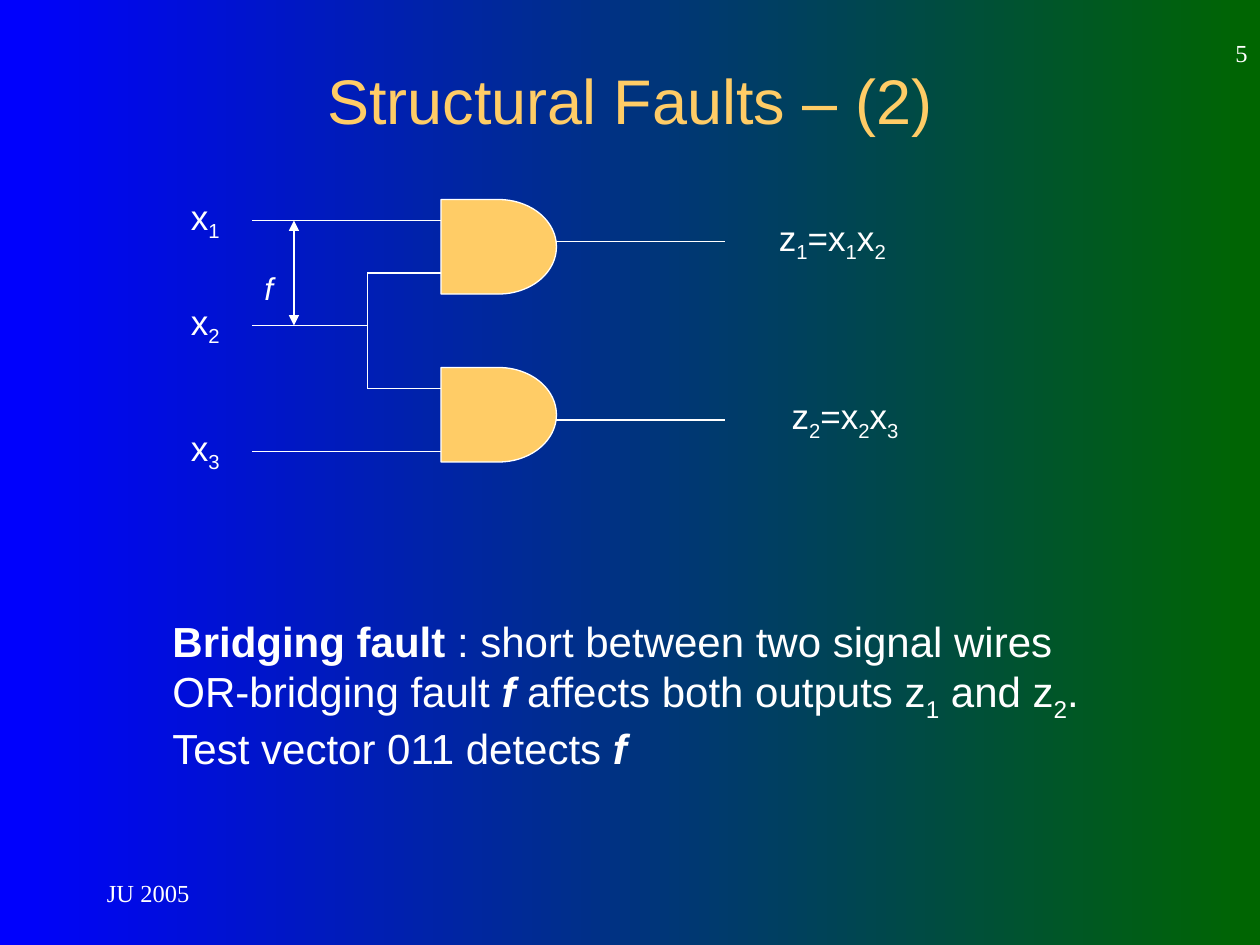
import dataclasses

import lxml.etree
import pptx
import pptx.dml.color
import pptx.enum.shapes
import pptx.enum.text
import pptx.oxml.ns
import pptx.util

ALIGN = pptx.enum.text.PP_ALIGN
ANCHOR = pptx.enum.text.MSO_ANCHOR


@dataclasses.dataclass(frozen=True)
class Theme:
    ink: str = "FFFFFF"
    accent: str = "FFCC66"
    gradient: tuple = ("006600", "0000FF")
    sans: str = "Arial"
    serif: str = "Times New Roman"
    title: int = 36
    body: int = 24
    signal: int = 20
    fault: int = 18
    footer: int = 14
    line: float = 0.75


def rgb(value):
    return pptx.dml.color.RGBColor.from_string(value)


class Canvas:
    """Draws on one slide, with lengths in cells of a twelfth of an inch."""

    cell = pptx.util.Inches(1) / 12

    def __init__(self, slide, theme):
        self.slide = slide
        self.theme = theme

    def cells(self, *counts):
        return [round(count * self.cell) for count in counts]

    def background(self):
        fill = self.slide.background.fill
        fill.gradient()
        fill.gradient_angle = 180
        for stop, color in zip(fill.gradient_stops, self.theme.gradient):
            stop.color.rgb = rgb(color)

    def text(self, place, paragraphs, size, font=None, color=None,
             align=ALIGN.LEFT, anchor=ANCHOR.TOP, wrap=True):
        """Each paragraph is a list of (words, style); a style is made of
        the letters b (bold), i (italic) and s (subscript)."""
        box = self.slide.shapes.add_textbox(*self.cells(*place))
        frame = box.text_frame
        frame.word_wrap = wrap
        frame.vertical_anchor = anchor
        for index, runs in enumerate(paragraphs):
            para = frame.add_paragraph() if index else frame.paragraphs[0]
            para.alignment = align
            for words, style in runs:
                span = para.add_run()
                span.text = words
                span.font.size = pptx.util.Pt(size)
                span.font.name = font or self.theme.sans
                span.font.color.rgb = rgb(color or self.theme.ink)
                span.font.bold = "b" in style
                span.font.italic = "i" in style
                if "s" in style:
                    span.font._element.set("baseline", "-25000")

    def signal(self, place, name, wrap=True):
        """Label in which every digit is a subscript."""
        runs = [(mark, "s" if mark.isdigit() else "") for mark in name]
        self.text(place, [runs], self.theme.signal, wrap=wrap)

    def gate(self, *place):
        shape = self.slide.shapes.add_shape(
            pptx.enum.shapes.MSO_SHAPE.FLOWCHART_DELAY, *self.cells(*place))
        shape.shadow.inherit = False
        shape.fill.solid()
        shape.fill.fore_color.rgb = rgb(self.theme.accent)
        self.outline(shape.line)

    def wire(self, *ends, arrow=False):
        wire = self.slide.shapes.add_connector(
            pptx.enum.shapes.MSO_CONNECTOR.STRAIGHT, *self.cells(*ends))
        self.outline(wire.line)
        qn = pptx.oxml.ns.qn
        properties = wire._element.spPr
        lxml.etree.SubElement(properties, qn("a:effectLst"))
        if arrow:
            line = properties.find(qn("a:ln"))
            lxml.etree.SubElement(line, qn("a:tailEnd"), type="triangle")

    def outline(self, line):
        line.color.rgb = rgb(self.theme.ink)
        line.width = pptx.util.Pt(self.theme.line)


def main():
    theme = Theme()
    deck = pptx.Presentation()
    deck.slide_width = pptx.util.Inches(10)
    deck.slide_height = pptx.util.Inches(7.5)
    canvas = Canvas(deck.slides.add_slide(deck.slide_layouts[6]), theme)
    canvas.background()

    # Title
    canvas.text((9, 2, 102, 15), [[("Structural Faults – (2)", "")]],
                theme.title, color=theme.accent,
                align=ALIGN.CENTER, anchor=ANCHOR.MIDDLE)

    # Gates
    start, branch, gate_left, gate_right, end = 24, 35, 42, 53, 69
    for top in (19, 35):
        canvas.gate(gate_left, top, gate_right - gate_left, 9)

    # Input wires, the x2 fan-out and output wires
    x1, x2, x3, upper, lower = 21, 31, 43, 26, 37
    for left, right, row in ((start, gate_left, x1), (start, gate_left, x3),
                             (start, branch, x2), (branch, gate_left, upper),
                             (branch, gate_left, lower),
                             (gate_right, end, 23), (gate_right, end, 40)):
        canvas.wire(left, row, right, row)
    canvas.wire(branch, upper, branch, lower)

    # Bridging fault between x1 and x2
    for tail, head in ((24, x2), (26, x1)):
        canvas.wire(28, tail, 28, head, arrow=True)
    canvas.text((24, 25, 4, 4.8), [[("f", "i")]], theme.fault)

    # Signal names
    for name, top, width in (("x1", 18, 6), ("x2", 28, 7), ("x3", 40, 7)):
        canvas.signal((17, top, width, 5.8), name)
    canvas.signal((73, 20, 24, 5.8), "z1=x1x2")
    canvas.signal((74.2, 37, 12.6, 5.8), "z2=x2x3", wrap=False)

    # Explanation
    canvas.text((15.25, 58, 88.8, 16.3), [
        [("Bridging fault", "b"), (" : short between two signal wires", "")],
        [("OR-bridging fault ", ""), ("f", "bi"),
         (" affects both outputs z", ""), ("1", "s"),
         (" and z", ""), ("2", "s"), (".", "")],
        [("Test vector 011 detects ", ""), ("f", "bi")],
    ], theme.body, wrap=False)

    # Page number and footer
    for place, words, align in (((95, 2, 25, 6), "5", ALIGN.RIGHT),
                                ((9, 82, 25, 6), "JU 2005", ALIGN.LEFT)):
        canvas.text(place, [[(words, "")]], theme.footer, font=theme.serif,
                    align=align, anchor=ANCHOR.MIDDLE)

    deck.save("out.pptx")


if __name__ == "__main__":
    main()
